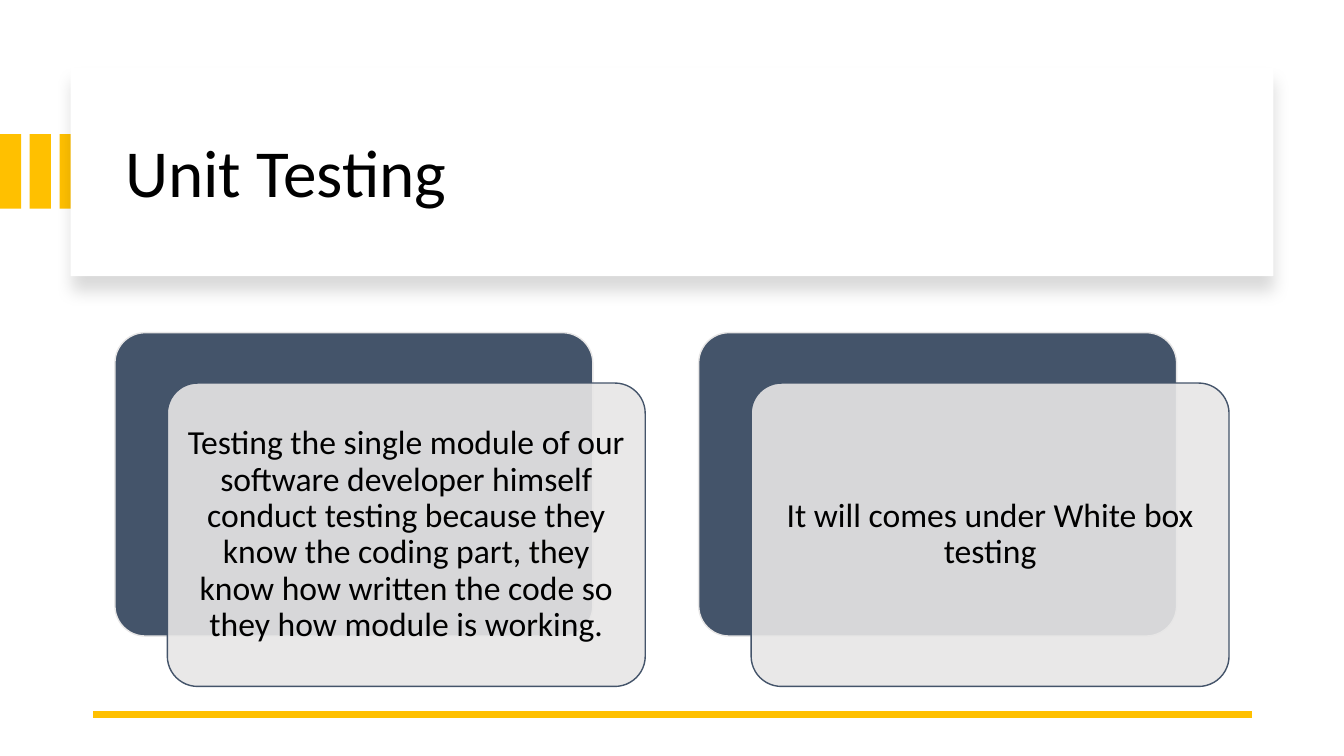
from lxml.etree import SubElement
from pptx import Presentation
from pptx.dml.color import RGBColor
from pptx.enum.shapes import MSO_CONNECTOR, MSO_SHAPE
from pptx.enum.text import MSO_ANCHOR, PP_ALIGN
from pptx.oxml.ns import qn
from pptx.util import Inches, Pt

TITLE = "Unit Testing"
CARDS = [
    "Testing the single module of our software developer himself conduct "
    "testing because they know the coding part, they know how written the "
    "code so they how module is working.",
    "It will comes under White box testing",
]
HEX = {"gold": "FFC000", "white": "FFFFFF", "slate": "44546A",
       "pale": "E7E6E6", "black": "000000"}
FONT = "Calibri"

WIDE, HIGH = 13.33, 7.5
STRIPES, STRIPE_STEP = 3, 0.295
CARD_LEFT, CARD_TOP, CARD_STEP = 1.14, 3.3, 5.79
CARD_SIZE = (4.74, 3.01)
SHIFT = (0.52, 0.5)  # front card against the one behind it


def rgb(name):
    return RGBColor.from_string(HEX[name])


def add_box(slide, kind, box, fill, line=None):
    shape = slide.shapes.add_shape(kind, *map(Inches, box))
    shape.shadow.inherit = False
    shape.fill.solid()
    shape.fill.fore_color.rgb = rgb(fill)
    if line:
        shape.line.color.rgb = rgb(line)
        shape.line.width = Pt(1)
    else:
        shape.line.fill.background()
    return shape


def add_card(slide, left, top, fill, line):
    box = (left, top, *CARD_SIZE)
    card = add_box(slide, MSO_SHAPE.ROUNDED_RECTANGLE, box, fill, line)
    card.adjustments[0] = 0.1
    return card


def write(shape, text, size, align):
    frame = shape.text_frame
    frame.word_wrap = True
    frame.vertical_anchor = MSO_ANCHOR.MIDDLE
    para = frame.paragraphs[0]
    para.alignment = align
    para.line_spacing = 0.9
    run = para.add_run()
    run.text = text
    run.font.name = FONT
    run.font.size = Pt(size)
    run.font.color.rgb = rgb("black")


def set_alpha(color, share):
    SubElement(color, qn("a:alpha"), val=str(share * 1000))


def drop_shadow(shape):
    effects = shape._element.spPr.find(qn("a:effectLst"))
    shade = SubElement(effects, qn("a:outerShdw"), blurRad=str(Pt(11)),
                       dist=str(Pt(10)), dir=str(90 * 60000),
                       algn="t", rotWithShape="0")
    set_alpha(SubElement(shade, qn("a:srgbClr"), val=HEX["black"]), 15)


def add_head(slide):
    for i in range(STRIPES):
        box = (i * STRIPE_STEP, 1.33, 0.21, 0.74)
        add_box(slide, MSO_SHAPE.RECTANGLE, box, "gold")
    panel = add_box(slide, MSO_SHAPE.RECTANGLE, (0.7, 0.67, 11.93, 2.07), "white")
    drop_shadow(panel)
    title = slide.shapes.title
    title.left, title.top, title.width, title.height = map(
        Inches, (1.14, 0.89, 11.13, 1.7))
    write(title, TITLE, 48, PP_ALIGN.LEFT)
    slide.shapes._spTree.append(title._element)  # in front of the panel


def add_rule(slide):
    ends = map(Inches, (12.42, 7.09, 0.92, 7.09))
    rule = slide.shapes.add_connector(MSO_CONNECTOR.STRAIGHT, *ends)
    rule.line.color.rgb = rgb("gold")
    rule.line.width = Pt(4.5)
    SubElement(rule._element.spPr, qn("a:effectLst"))


def add_cards(slide):
    for i, text in enumerate(CARDS):
        left = CARD_LEFT + i * CARD_STEP
        add_card(slide, left, CARD_TOP, "slate", "pale")
        front = add_card(slide, left + SHIFT[0], CARD_TOP + SHIFT[1],
                         "pale", "slate")
        fill = front._element.spPr.find(qn("a:solidFill"))
        set_alpha(fill[0], 90)
        frame = front.text_frame
        frame.margin_left = frame.margin_right = Inches(0.1)
        frame.margin_top = frame.margin_bottom = Inches(0.1)
        write(front, text, 24, PP_ALIGN.CENTER)


def main():
    deck = Presentation()
    deck.slide_width, deck.slide_height = Inches(WIDE), Inches(HIGH)
    slide = deck.slides.add_slide(deck.slide_layouts[5])
    add_head(slide)
    add_rule(slide)
    add_cards(slide)
    deck.save("out.pptx")


if __name__ == "__main__":
    main()
